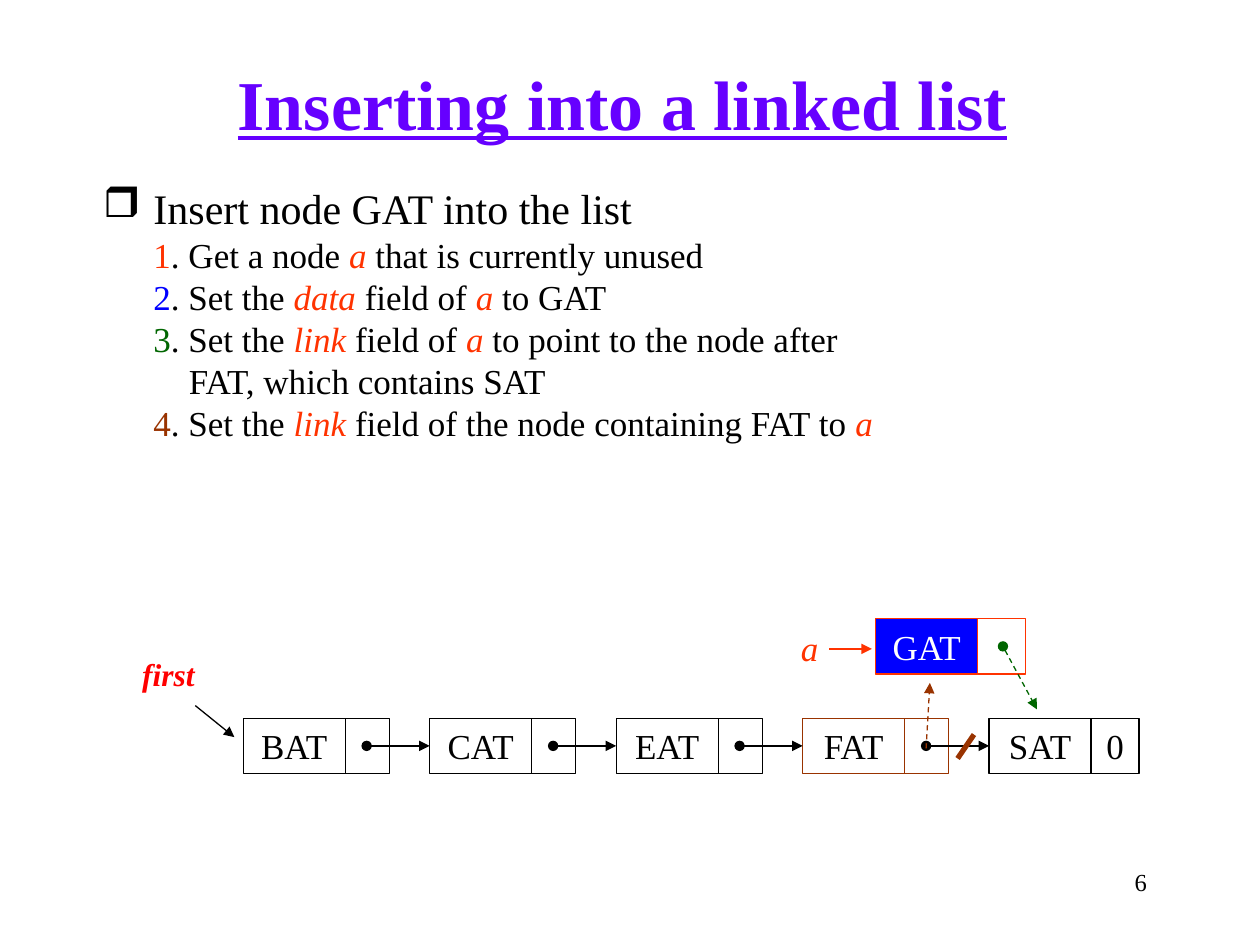
from lxml import etree
from pptx import Presentation
from pptx.dml.color import RGBColor
from pptx.enum.dml import MSO_LINE
from pptx.enum.shapes import MSO_CONNECTOR, MSO_SHAPE
from pptx.enum.text import MSO_ANCHOR, PP_ALIGN
from pptx.oxml.ns import qn
from pptx.util import Inches, Pt

FONT = "Times New Roman"
LEFT, CENTER, RIGHT = PP_ALIGN.LEFT, PP_ALIGN.CENTER, PP_ALIGN.RIGHT
TOP, MIDDLE = MSO_ANCHOR.TOP, MSO_ANCHOR.MIDDLE
RECT, STRAIGHT, DASH = MSO_SHAPE.RECTANGLE, MSO_CONNECTOR.STRAIGHT, MSO_LINE.DASH
LEFT_SIDE = 1

BLACK = RGBColor(0x00, 0x00, 0x00)
WHITE = RGBColor(0xFF, 0xFF, 0xFF)
PURPLE = RGBColor(0x66, 0x00, 0xFF)
ORANGE = RGBColor(0xFF, 0x33, 0x00)
RED = RGBColor(0xFF, 0x00, 0x00)
BLUE = RGBColor(0x00, 0x00, 0xFF)
GREEN = RGBColor(0x00, 0x66, 0x00)
BROWN = RGBColor(0x99, 0x33, 0x00)

HEADING = "Insert node GAT into the list"
# Odd-numbered pieces of each step are the emphasised terms.
STEPS = [
    (ORANGE, ["Get a node ", "a", " that is currently unused"]),
    (BLUE, ["Set the ", "data", " field of ", "a", " to GAT"]),
    (GREEN, ["Set the ", "link", " field of ", "a",
             " to point to the node after\vFAT, which contains SAT"]),
    (BROWN, ["Set the ", "link", " field of the node containing FAT to ", "a"]),
]
LABELS = [
    ("Inserting into a linked list", (0.94, 0.52, 8, 0.58), CENTER, MIDDLE,
     {"size": Pt(40), "bold": True, "underline": True}, PURPLE),
    ("6", (7.12, 6.83, 2.08, 0.5), RIGHT, TOP, {"size": Pt(14)}, BLACK),
    ("first", (1.03, 5.15, 0.88, 0.4), LEFT, TOP,
     {"size": Pt(18), "bold": True, "italic": True}, RED),
    ("a", (6.08, 4.92, 0.69, 0.43), CENTER, TOP,
     {"size": Pt(20), "italic": True}, ORANGE),
]
NODES = [("BAT", "", BLACK), ("CAT", "", BLACK), ("EAT", "", BLACK),
         ("FAT", "", BROWN), ("SAT", "0", BLACK)]
NODE_X, NODE_Y, PITCH = 1.93, 5.7, 1.48
DATA_W, LINK_W, WIDE_LINK_W, NODE_H = 0.81, 0.35, 0.38, 0.44
DOT_DX = 0.98
ARROWS = [
    ((1.55, 5.6), (1.86, 5.85), BLACK, {"tail": "triangle"}),
    ((7.96, 5.13), (8.23, 5.63), GREEN,
     {"head": "oval", "tail": "triangle", "dash": DASH}),
    ((7.35, 5.94), (7.38, 5.42), BROWN, {"tail": "triangle", "dash": DASH}),
    ((6.58, 5.15), (6.92, 5.15), ORANGE, {"tail": "triangle"}),
    ((7.6, 6.02), (7.73, 5.83), BROWN, {"width": 3}),
]

prs = Presentation()
prs.slide_width, prs.slide_height = Inches(10), Inches(7.5)
s = prs.slides.add_slide(prs.slide_layouts[6])


def add_run(p, text, color, **fmt):
    r = p.add_run()
    r.text = text
    for name, value in {"name": FONT, **fmt}.items():
        setattr(r.font, name, value)
    r.font.color.rgb = color


def text_box(box, anchor=TOP):
    tf = s.shapes.add_textbox(*map(Inches, box)).text_frame
    tf.word_wrap = True
    tf.vertical_anchor = anchor
    return tf


def set_indent(p, margin, hang, bullet=None):
    pPr = p._p.get_or_add_pPr()
    pPr.set("marL", str(Inches(margin)))
    pPr.set("indent", str(-Inches(hang)))
    if bullet:
        etree.SubElement(pPr, qn("a:buChar")).set("char", bullet)


def add_cell(x, y, w, text, line, color=BLACK, fill=None):
    sp = s.shapes.add_shape(RECT, *map(Inches, (x, y, w, NODE_H)))
    sp.shadow.inherit = False
    if fill is None:
        sp.fill.background()
    else:
        sp.fill.solid()
        sp.fill.fore_color.rgb = fill
    sp.line.color.rgb = line
    sp.line.width = Pt(0.75)
    if text:
        p = sp.text_frame.paragraphs[0]
        p.alignment = CENTER
        add_run(p, text, color, size=Pt(20))
    return sp


def add_line(start, end, color, head=None, tail=None, dash=None, width=0.75):
    cx = s.shapes.add_connector(STRAIGHT, *map(Inches, (*start, *end)))
    cx.line.color.rgb = color
    cx.line.width = Pt(width)
    if dash:
        cx.line.dash_style = dash
    ln = cx.line._get_or_add_ln()
    for tag, kind in (("a:headEnd", head), ("a:tailEnd", tail)):
        if kind:
            etree.SubElement(ln, qn(tag)).set("type", kind)
    etree.SubElement(cx._element.spPr, qn("a:effectLst"))
    return cx


for text, box, align, anchor, fmt, color in LABELS:
    p = text_box(box, anchor).paragraphs[0]
    p.alignment = align
    add_run(p, text, color, **fmt)

tf = text_box((0.72, 1.4, 8.24, 2.19))
p = tf.paragraphs[0]
set_indent(p, 0.4, 0.4, "❒")
add_run(p, HEADING, BLACK, size=Pt(24))
for number, (color, pieces) in enumerate(STEPS, 1):
    p = tf.add_paragraph()
    set_indent(p, 0.68, 0.28)
    add_run(p, str(number), color, size=Pt(20))
    add_run(p, ". ", BLACK, size=Pt(20))
    for i, piece in enumerate(pieces):
        term = i % 2 == 1
        for j, part in enumerate(piece.split("\v")):
            if j:
                p.add_line_break()
            add_run(p, part, ORANGE if term else BLACK, size=Pt(20), italic=term)

cells = []
for i, (data, link, line) in enumerate(NODES):
    x = NODE_X + i * PITCH
    cells.append(add_cell(x, NODE_Y, DATA_W, data, line))
    add_cell(x + DATA_W, NODE_Y, WIDE_LINK_W if link else LINK_W, link, line)

mid_y = NODE_Y + NODE_H / 2
for i, target in enumerate(cells[1:]):
    x = NODE_X + i * PITCH
    cx = add_line((x + DOT_DX, mid_y), (x + PITCH, mid_y), BLACK, "oval", "triangle")
    cx.end_connect(target, LEFT_SIDE)

add_cell(6.95, 4.91, DATA_W, "GAT", ORANGE, WHITE, BLUE)
add_cell(6.95 + DATA_W, 4.91, WIDE_LINK_W, "", ORANGE)

for start, end, color, style in ARROWS:
    add_line(start, end, color, **style)

prs.save("out.pptx")
